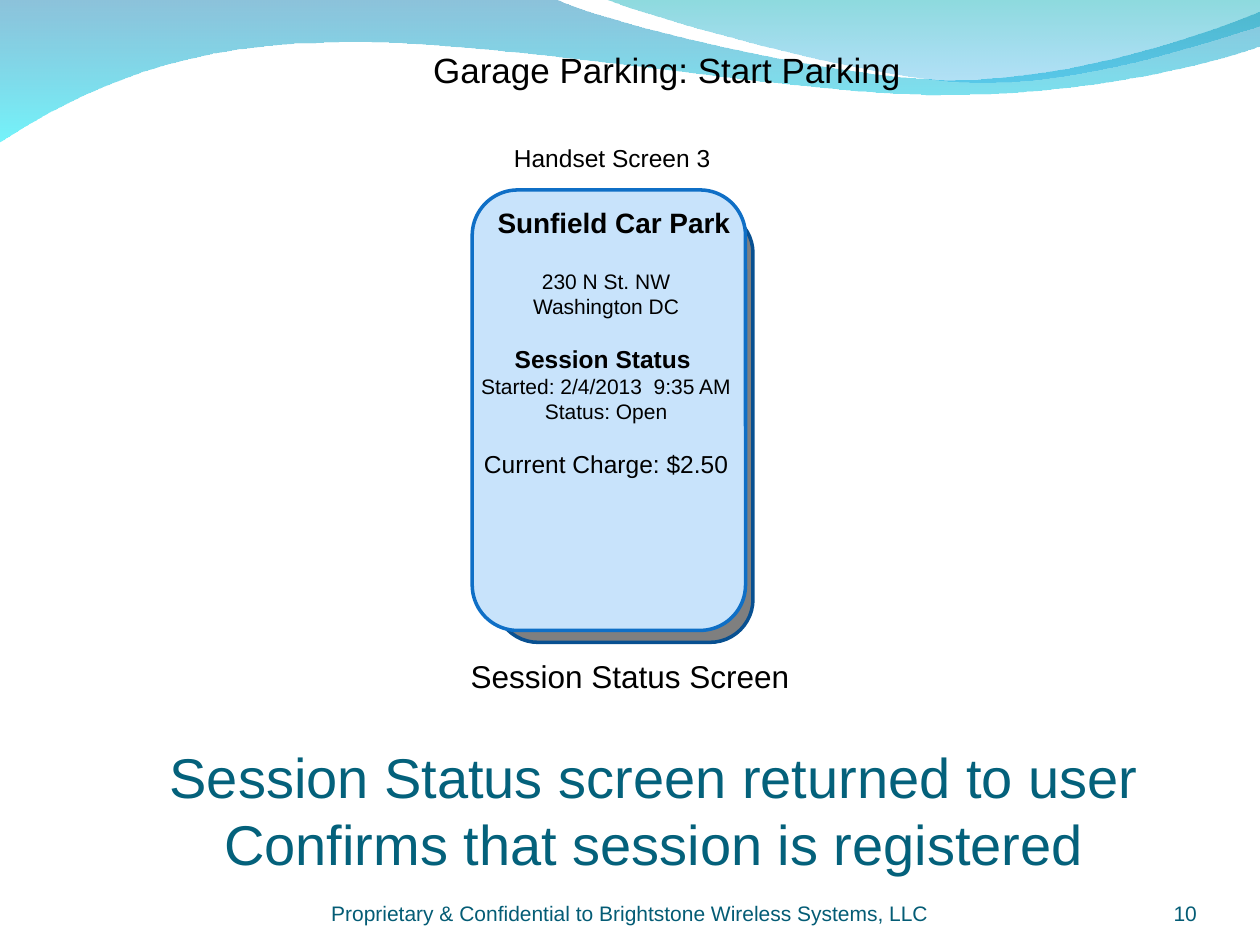
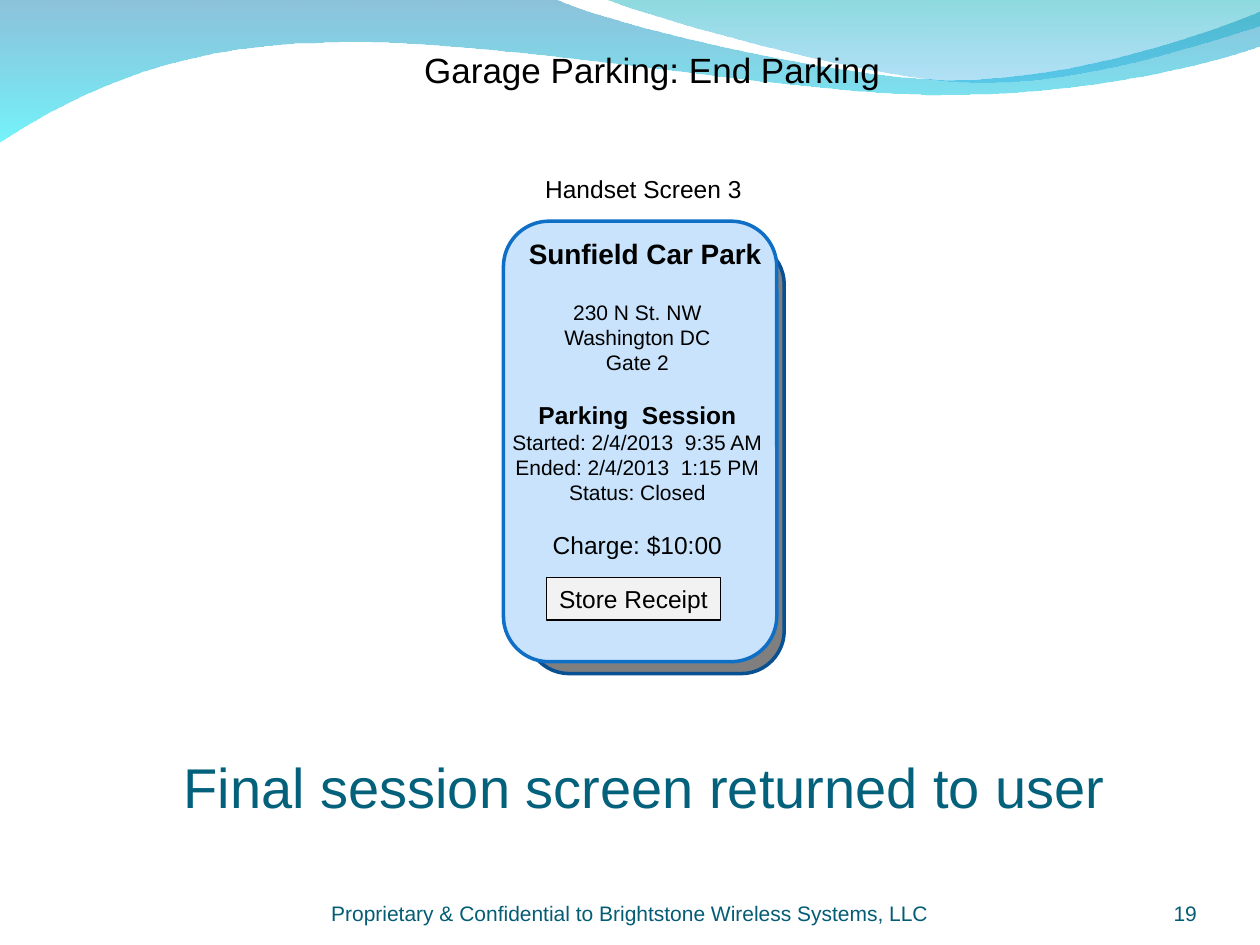
from dataclasses import dataclass
from typing import Any

import pptx
import pptx.dml.color
import pptx.enum.shapes
import pptx.enum.text
import pptx.oxml
import pptx.oxml.ns
import pptx.util
from pptx.util import Cm

ALIGN = pptx.enum.text.PP_ALIGN
ANCHOR = pptx.enum.text.MSO_ANCHOR
FIT = pptx.enum.text.MSO_AUTO_SIZE
SHAPE = pptx.enum.shapes.MSO_SHAPE

FONT = "Arial"
BLACK = "000000"
CAPTION_COLOUR = "04617B"
FOOTER_COLOUR = "045C75"
FOOTER = "Proprietary & Confidential to Brightstone Wireless Systems, LLC"

Point = tuple[float, float]


@dataclass(frozen=True)
class Box:
    """A place on the slide, in centimetres."""
    left: float
    top: float
    width: float
    height: float

    def moved(self, offset: float) -> "Box":
        return Box(self.left + offset, self.top + offset, self.width, self.height)

    def lengths(self) -> tuple:
        return Cm(self.left), Cm(self.top), Cm(self.width), Cm(self.height)


@dataclass(frozen=True)
class Line:
    text: str
    size: float = 12
    bold: bool = False
    colour: str = BLACK
    space_before: float = 0


@dataclass(frozen=True)
class Stop:
    colour: str
    opacity: int


@dataclass(frozen=True)
class Band:
    """An outline of segments: one point is a line, three points are a curve."""
    start: Point
    segments: tuple[tuple[Point, ...], ...]
    stops: tuple[Stop, Stop]


@dataclass(frozen=True)
class Screen:
    """One slide: its title, handset card and caption."""
    number: int
    title: str
    title_box: Box
    card_offset: float
    card_lines: tuple[Line, ...]
    caption: tuple[str, ...]
    caption_box: Box
    caption_align: Any
    button: str = ""
    label: str = ""


BANDS = (
    Band((0, -0.03), (
        ((11.18, -0.03),),
        ((12.09, 0.43), (16.87, 1.6), (19.25, 1.6)),
        ((21.67, 1.6), (24.33, 0.66), (25.4, 0.23)),
        ((25.43, 0.91),),
        ((24.99, 1.12), (22.1, 1.93), (18.95, 1.91)),
        ((15.8, 1.91), (9.7, 0.71), (6.53, 0.86)),
        ((3.25, 0.89), (1.17, 2.11), (-0.03, 2.87)),
    ), (Stop("0079AF", 45), Stop("00EBF8", 55))),
    Band((12.17, -0.03), (
        ((12.93, 0.28), (17.32, 1.57), (19.53, 1.65)),
        ((21.74, 1.75), (24.41, 0.81), (25.4, 0.53)),
        ((25.4, 0),),
    ), (Stop("00ADB6", 45), Stop("009BE5", 30))),
)

HANDSET_BOX = Box(10.11, 2.75, 4.47, 0.86)
CARD_BACK = Box(9.98, 4.24, 5.2, 8.71)
CARD_FRONT = Box(9.52, 3.83, 5.51, 8.88)
CARD_NAME = Box(9.78, 4.01, 5.21, 0.94)
CARD_TEXT = Box(9.44, 5.28, 5.56, 5.08)
BUTTON_BOX = Box(11.02, 11.64, 3.51, 0.86)
LABEL_BOX = Box(7.2, 13.12, 11, 1.02)
FOOTER_BOX = Box(5.08, 17.65, 15.24, 1.02)
NUMBER_BOX = Box(22.02, 17.65, 2.11, 1.02)

GAP = 14.3
ADDRESS = (Line("230 N St. NW"), Line("Washington DC"))
STARTED = Line("Started: 2/4/2013  9:35 AM")

SCREENS = (
    Screen(
        10, "Garage Parking: Start Parking", Box(8.48, 0.84, 10.4, 1.12), 0,
        ADDRESS + (
            Line("Session Status ", 14, True, space_before=GAP),
            STARTED,
            Line("Status: Open"),
            Line("Current Charge: $2.50", 14, space_before=GAP),
        ),
        ("Session Status screen returned to user", "Confirms that session is registered"),
        Box(3.17, 14.83, 20.04, 2.97), ALIGN.CENTER,
        label="Session Status Screen",
    ),
    Screen(
        19, "Garage Parking: End Parking", Box(8.3, 0.84, 10.4, 1.12), 0.63,
        ADDRESS + (
            Line("Gate 2"),
            Line("Parking  Session", 14, True, space_before=GAP),
            STARTED,
            Line("Ended: 2/4/2013  1:15 PM"),
            Line("Status: Closed"),
            Line("Charge: $10:00", 14, space_before=GAP),
        ),
        ("Final session screen returned to user",),
        Box(3.45, 15.03, 19.41, 1.63), ALIGN.LEFT,
        button="Store Receipt",
    ),
)


def rgb(colour: str) -> pptx.dml.color.RGBColor:
    return pptx.dml.color.RGBColor.from_string(colour)


def assign(target: Any, values: dict[str, Any]) -> None:
    for name, value in values.items():
        setattr(target, name, value)


def write(shape: Any, lines: tuple[Line, ...], align: Any = ALIGN.LEFT, **frame_values: Any) -> None:
    """Fill a shape with paragraphs; frame_values override the text frame defaults."""
    frame = shape.text_frame
    assign(frame, {
        "word_wrap": False, "auto_size": FIT.SHAPE_TO_FIT_TEXT, "vertical_anchor": ANCHOR.TOP,
        "margin_left": Cm(0.25), "margin_right": Cm(0.25),
        "margin_top": Cm(0.13), "margin_bottom": Cm(0.13),
    } | frame_values)
    for index, line in enumerate(lines):
        para = frame.add_paragraph() if index else frame.paragraphs[0]
        para.alignment = align
        if line.space_before:
            para.space_before = pptx.util.Pt(line.space_before)
        span = para.add_run()
        span.text = line.text
        assign(span.font, {"name": FONT, "size": pptx.util.Pt(line.size), "bold": line.bold})
        span.font.color.rgb = rgb(line.colour)


def add_text(shapes: Any, box: Box, lines: tuple[Line, ...], align: Any = ALIGN.LEFT,
             **frame_values: Any) -> None:
    write(shapes.add_textbox(*box.lengths()), lines, align, **frame_values)


def add_panel(shapes: Any, kind: Any, box: Box, fill: str, line: str, width: float) -> Any:
    panel = shapes.add_shape(kind, *box.lengths())
    panel.shadow.inherit = False
    panel.fill.solid()
    panel.fill.fore_color.rgb = rgb(fill)
    panel.line.color.rgb = rgb(line)
    panel.line.width = pptx.util.Pt(width)
    return panel


def bend(shape: Any, segments: tuple[tuple[Point, ...], ...]) -> None:
    """Join the straight steps of each three-point segment into one cubic curve."""
    qn = pptx.oxml.ns.qn
    steps = iter(list(shape.element.iter(qn("a:lnTo"))))
    for segment in segments:
        parts = [next(steps) for _ in segment]
        if len(parts) == 3:
            curve = pptx.oxml.parse_xml(f'<a:cubicBezTo {pptx.oxml.ns.nsdecls("a")}/>')
            parts[0].addprevious(curve)
            for part in parts:
                curve.append(part[0])
                part.getparent().remove(part)


def add_band(page: Any, band: Band) -> Any:
    points = [band.start] + [point for segment in band.segments for point in segment]
    lengths = [(Cm(x), Cm(y)) for x, y in points]
    builder = page.shapes.build_freeform(*lengths[0])
    builder.add_line_segments(lengths[1:], close=True)
    shape = builder.convert_to_shape()
    bend(shape, band.segments)
    shape.shadow.inherit = False
    shape.line.fill.background()
    shape.fill.gradient()
    shape.fill.gradient_angle = 270
    for position, (target, stop) in enumerate(zip(shape.fill.gradient_stops, band.stops)):
        target.position = position
        target.color.rgb = rgb(stop.colour)
    colours = shape.element.spPr.iter(pptx.oxml.ns.qn("a:srgbClr"))
    for colour, stop in zip(list(colours), band.stops):
        colour.append(pptx.oxml.parse_xml(
            f'<a:alpha {pptx.oxml.ns.nsdecls("a")} val="{stop.opacity * 1000}"/>'))
    return shape


def add_bands_to_layout(page: Any) -> None:
    """Draw the bands on a page, then move them behind everything on its layout."""
    for index, band in enumerate(BANDS):
        page.slide_layout.shapes.element.insert(2 + index, add_band(page, band).element)


def add_handset(page: Any, screen: Screen) -> None:
    offset = screen.card_offset
    add_text(page.shapes, HANDSET_BOX.moved(offset), (Line("Handset Screen 3", 14),))
    card = page.shapes.add_group_shape().shapes
    add_panel(card, SHAPE.ROUNDED_RECTANGLE, CARD_BACK.moved(offset), "7F7F7F", "085091", 2)
    add_panel(card, SHAPE.ROUNDED_RECTANGLE, CARD_FRONT.moved(offset), "C8E3FB", "0F6FC6", 2)
    add_text(card, CARD_TEXT.moved(offset), screen.card_lines, ALIGN.CENTER)
    if screen.button:
        button = add_panel(card, SHAPE.RECTANGLE, BUTTON_BOX, "F2F2F2", BLACK, 0.75)
        write(button, (Line(screen.button, 14),))
    add_text(card, CARD_NAME.moved(offset), (Line("Sunfield Car Park", 16, True),))


def add_footer(page: Any, number: int) -> None:
    for box, text, align in ((FOOTER_BOX, FOOTER, ALIGN.CENTER),
                             (NUMBER_BOX, str(number), ALIGN.RIGHT)):
        add_text(page.shapes, box, (Line(text, colour=FOOTER_COLOUR),), align,
                 word_wrap=True, auto_size=FIT.NONE, vertical_anchor=ANCHOR.BOTTOM,
                 margin_left=0, margin_right=0, margin_top=0, margin_bottom=0)


def add_screen(page: Any, screen: Screen) -> None:
    title = page.shapes.title
    assign(title, dict(zip(("left", "top", "width", "height"), screen.title_box.lengths())))
    write(title, (Line(screen.title, 20),))
    add_handset(page, screen)
    if screen.label:
        add_text(page.shapes, LABEL_BOX, (Line(screen.label, 18),), ALIGN.CENTER, word_wrap=True)
    caption = tuple(Line(text, 32, colour=CAPTION_COLOUR) for text in screen.caption)
    add_text(page.shapes, screen.caption_box, caption, screen.caption_align,
             vertical_anchor=ANCHOR.MIDDLE)
    add_footer(page, screen.number)


def main() -> None:
    deck = pptx.Presentation()
    deck.slide_width, deck.slide_height = Cm(25.4), Cm(19.05)
    title_only = deck.slide_layouts[5]
    pages = [deck.slides.add_slide(title_only) for _ in SCREENS]
    add_bands_to_layout(pages[0])
    for page, screen in zip(pages, SCREENS):
        add_screen(page, screen)
    deck.save("out.pptx")


if __name__ == "__main__":
    main()
